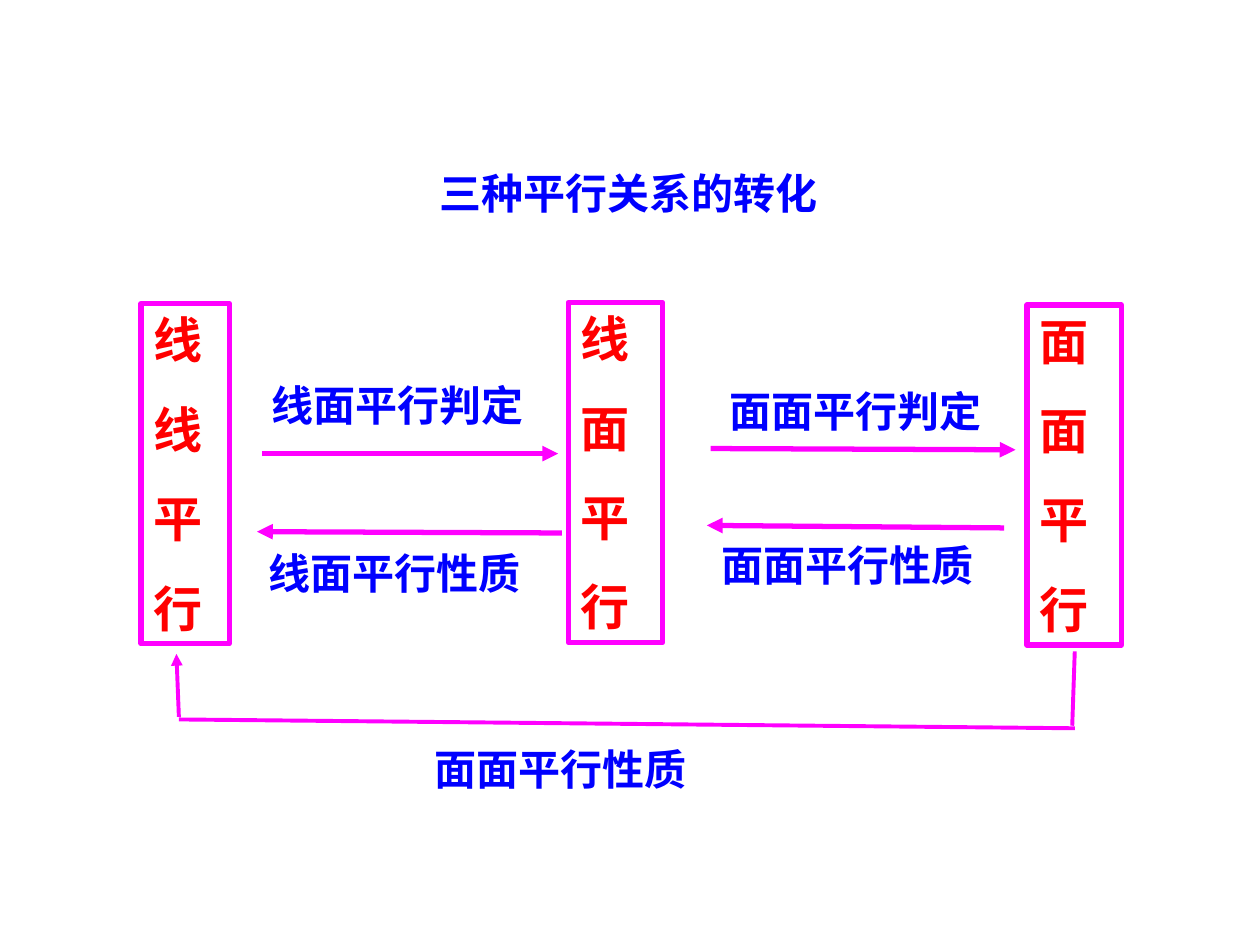
from pptx import Presentation
from pptx.dml.color import RGBColor
from pptx.enum.shapes import MSO_CONNECTOR, MSO_SHAPE
from pptx.enum.text import MSO_ANCHOR, MSO_AUTO_SIZE, PP_ALIGN
from pptx.oxml.ns import qn
from pptx.util import Inches, Pt
from lxml.etree import SubElement

COLORS = {"frame": "FF00FF", "relation": "FF0000", "label": "0000FF"}


class DiagramSlide:
    """Holds the diagram style and draws its elements on one slide."""

    def __init__(self, slide):
        self.slide = slide

    def color(self, name):
        return RGBColor.from_string(COLORS[name])

    def set_text(self, shape, text, size, font, color, align, space=0):
        frame = shape.text_frame
        frame.text = text
        frame.word_wrap = True
        frame.auto_size = MSO_AUTO_SIZE.SHAPE_TO_FIT_TEXT
        frame.vertical_anchor = MSO_ANCHOR.TOP
        for index, paragraph in enumerate(frame.paragraphs):
            paragraph.alignment = align
            paragraph.space_before = Pt(space if index else 0)
            for run in paragraph.runs:
                run.font.name = font
                run.font.size = Pt(size)
                run.font.bold = True
                run.font.color.rgb = self.color(color)

    def label(self, text, left, top, width, font="Times New Roman", align=PP_ALIGN.LEFT):
        box = self.slide.shapes.add_textbox(
            Inches(left), Inches(top), Inches(width), Inches(0.5))
        self.set_text(box, text, 24, font, "label", align)

    def relation(self, text, left, top, width):
        shape = self.slide.shapes.add_shape(
            MSO_SHAPE.RECTANGLE, Inches(left), Inches(top), Inches(width), Inches(2.7))
        shape.shadow.inherit = False
        shape.fill.background()
        shape.line.color.rgb = self.color("frame")
        shape.line.width = Pt(3)
        self.set_text(shape, "\n".join(text), 28, "Noto Sans CJK SC", "relation",
                      PP_ALIGN.LEFT, 17.5)

    def line(self, start, end, width=3, arrow=True):
        connector = self.slide.shapes.add_connector(
            MSO_CONNECTOR.STRAIGHT, *(Inches(value) for value in (*start, *end)))
        connector.line.color.rgb = self.color("frame")
        connector.line.width = Pt(width)
        properties = connector._element.spPr
        if arrow:
            SubElement(properties.find(qn("a:ln")), qn("a:tailEnd"), type="triangle")
        SubElement(properties, qn("a:effectLst"))


def main():
    presentation = Presentation()
    presentation.slide_width = Inches(10)
    presentation.slide_height = Inches(7.5)
    diagram = DiagramSlide(presentation.slides.add_slide(presentation.slide_layouts[6]))

    diagram.label("三种平行关系的转化", 2.91, 1.28, 4.15, "Arial", PP_ALIGN.CENTER)

    diagram.relation("线线平行", 1.12, 2.41, 0.7)
    diagram.relation("线面平行", 4.51, 2.4, 0.75)
    diagram.relation("面面平行", 8.15, 2.42, 0.75)

    for start, end, text, left, top, width in (
        ((2.08, 3.6), (4.43, 3.6), "线面平行判定", 2.06, 2.96, 2.28),
        ((4.46, 4.23), (2.04, 4.22), "线面平行性质", 2.03, 4.3, 2.29),
        ((5.64, 3.56), (8.06, 3.57), "面面平行判定", 5.69, 3.01, 2.28),
        ((7.97, 4.19), (5.61, 4.17), "面面平行性质", 5.63, 4.23, 2.36),
    ):
        diagram.line(start, end)
        diagram.label(text, left, top, width)

    diagram.line((8.51, 5.76), (8.53, 5.17), 2.25, arrow=False)
    diagram.line((8.53, 5.78), (1.42, 5.71), 2.25, arrow=False)
    diagram.line((1.42, 5.69), (1.4, 5.19), 2.25)
    diagram.label("面面平行性质", 3.35, 5.85, 2.36)

    presentation.save("out.pptx")


if __name__ == "__main__":
    main()
